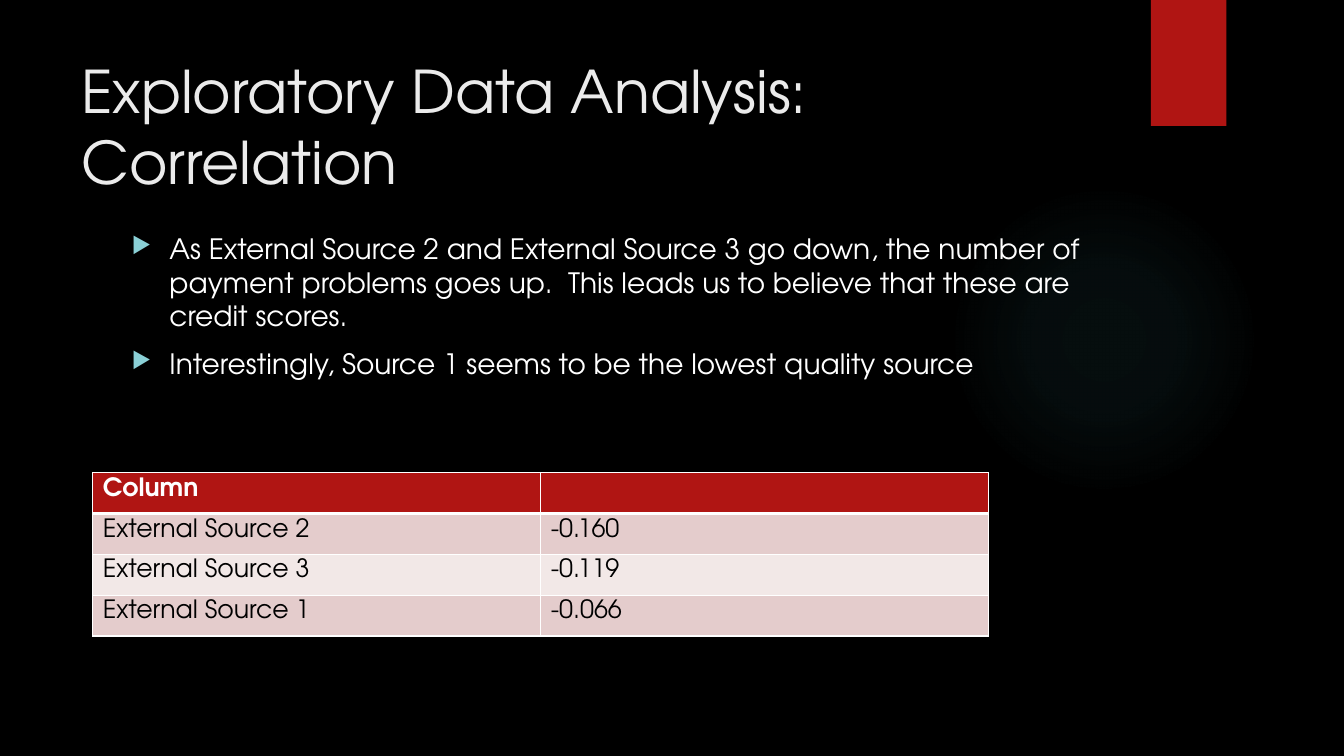
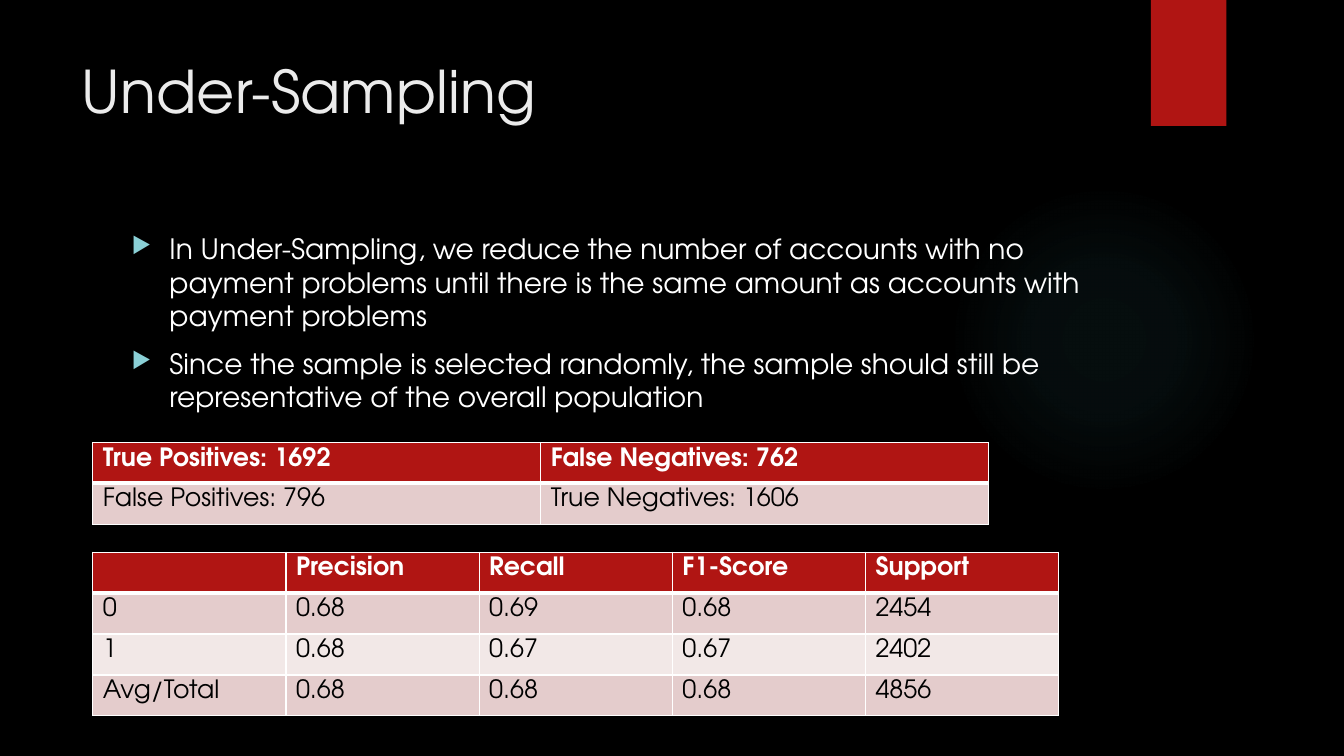
"""Build two dark slides with bulleted findings and result tables."""
from lxml import etree
from pptx import Presentation
from pptx.dml.color import RGBColor
from pptx.enum.shapes import MSO_SHAPE
from pptx.oxml import parse_xml
from pptx.oxml.ns import qn
from pptx.util import Pt

RECTANGLE = MSO_SHAPE.RECTANGLE
ELLIPSE = MSO_SHAPE.OVAL

BLACK = RGBColor(0x00, 0x00, 0x00)
WHITE = RGBColor(0xFF, 0xFF, 0xFF)
TITLE_GREY = RGBColor(0xEB, 0xEB, 0xEB)
RED = RGBColor(0xB0, 0x15, 0x13)
BAND_DARK = RGBColor(0xE4, 0xCC, 0xCC)
BAND_LIGHT = RGBColor(0xF2, 0xE8, 0xE7)
GLOW_TEAL = RGBColor(0x50, 0xB9, 0xC1)
BULLET_TEAL = RGBColor(0x8A, 0xD0, 0xD6)

FONT = "TeX Gyre Adventor"
TITLE = {"name": FONT, "size": Pt(42), "bold": False}
BODY = {"name": FONT, "size": Pt(20), "bold": False}
CELL = {"name": FONT, "size": Pt(18), "bold": False}
HEADER = {**CELL, "bold": True}
CELL_MARGINS = {"margin_left": Pt(7.2), "margin_right": Pt(7.2),
                "margin_top": Pt(3.6), "margin_bottom": Pt(3.6)}

TITLE_AREA = (51, 35.5, 741, 110)
BODY_AREA = (87, 161.75, 704, 330.5)
TAB_AREA = (822, 0, 54, 90)
GLOW_AREA = (677.5, 131.75, 221.75, 221.75)
GLOW_STOPS = [(0, 7), (36, 6), (69, 0)]
TABLE_LEFT = 66.25
ROW_HEIGHT = 29.2
BULLET_INDENT = 27
NAMESPACE = "http://schemas.openxmlformats.org/drawingml/2006/main"

SLIDES = [
    {
        "title": "Exploratory Data Analysis:\nCorrelation",
        "bullets": [
            "As External Source 2 and External Source 3 go down, the number of "
            "payment problems goes up.  This leads us to believe that these are "
            "credit scores.",
            "Interestingly, Source 1 seems to be the lowest quality source",
        ],
        "tables": [
            (337.5, 320, [
                ["Column", ""],
                ["External Source 2", "-0.160"],
                ["External Source 3", "-0.119"],
                ["External Source 1", "-0.066"],
            ]),
        ],
    },
    {
        "title": "Under-Sampling",
        "bullets": [
            "In Under-Sampling, we reduce the number of accounts with no payment "
            "problems until there is the same amount as accounts with payment "
            "problems",
            "Since the sample is selected randomly, the sample should still be "
            "representative of the overall population",
        ],
        "tables": [
            (316, 320, [
                ["True Positives: 1692", "False Negatives: 762"],
                ["False Positives: 796", "True Negatives: 1606"],
            ]),
            (394.5, 138, [
                ["", "Precision", "Recall", "F1-Score", "Support"],
                ["0", "0.68", "0.69", "0.68", "2454"],
                ["1", "0.68", "0.67", "0.67", "2402"],
                ["Avg/Total", "0.68", "0.68", "0.68", "4856"],
            ]),
        ],
    },
]


def points(area):
    """Convert a tuple of numbers to lengths in points."""
    return [Pt(value) for value in area]


def write(para, text, formats, color):
    """Fill a paragraph with text in one format."""
    para.text = text
    for span in para.runs:
        for name, value in formats.items():
            setattr(span.font, name, value)
        span.font.color.rgb = color


def add_block(page, kind, area, color):
    """Add a plain filled shape without outline or shadow."""
    block = page.shapes.add_shape(kind, *points(area))
    block.shadow.inherit = False
    block.fill.solid()
    block.fill.fore_color.rgb = color
    block.line.fill.background()
    return block


def add_glow(page):
    """Add the soft radial light behind the content."""
    glow = add_block(page, ELLIPSE, GLOW_AREA, GLOW_TEAL)
    stops = "".join(
        f'<a:gs pos="{position * 1000}"><a:srgbClr val="{GLOW_TEAL}">'
        f'<a:alpha val="{alpha * 1000}"/></a:srgbClr></a:gs>'
        for position, alpha in GLOW_STOPS)
    gradient = parse_xml(
        f'<a:gradFill xmlns:a="{NAMESPACE}"><a:gsLst>{stops}</a:gsLst>'
        '<a:path path="circle"><a:fillToRect l="50000" t="50000" r="50000" '
        'b="50000"/></a:path></a:gradFill>')
    properties = glow.element.spPr
    properties.replace(properties.find(qn("a:solidFill")), gradient)


def add_text_box(page, area):
    """Add a wrapping text box and return its text frame."""
    frame = page.shapes.add_textbox(*points(area)).text_frame
    frame.word_wrap = True
    return frame


def add_bullet(para):
    """Give a paragraph a hanging triangle bullet."""
    para.space_before = Pt(10)
    properties = para._p.get_or_add_pPr()
    properties.set("marL", str(Pt(BULLET_INDENT)))
    properties.set("indent", str(-Pt(BULLET_INDENT)))
    color = etree.SubElement(properties, qn("a:buClr"))
    etree.SubElement(color, qn("a:srgbClr"), val=str(BULLET_TEAL))
    etree.SubElement(properties, qn("a:buSzPct"), val="80000")
    etree.SubElement(properties, qn("a:buChar"), char="▶")


def add_bullets(page, texts):
    """Add the bulleted body text."""
    frame = add_text_box(page, BODY_AREA)
    for index, text in enumerate(texts):
        para = frame.add_paragraph() if index else frame.paragraphs[0]
        write(para, text, BODY, WHITE)
        add_bullet(para)


def set_borders(cell, widths):
    """Draw white borders of the given widths around a cell."""
    properties = cell._tc.get_or_add_tcPr()
    for index, (side, width) in enumerate(widths.items()):
        border = parse_xml(
            f'<a:{side} xmlns:a="{NAMESPACE}" w="{Pt(width)}"><a:solidFill>'
            f'<a:srgbClr val="{WHITE}"/></a:solidFill></a:{side}>')
        properties.insert(index, border)


def style_cell(cell, text, row):
    """Write and format one cell by its row number."""
    for name, value in CELL_MARGINS.items():
        setattr(cell, name, value)
    formats, color, fill = (
        (HEADER, WHITE, RED) if row == 0
        else (CELL, BLACK, BAND_DARK if row % 2 else BAND_LIGHT))
    write(cell.text_frame.paragraphs[0], text, formats, color)
    cell.fill.solid()
    cell.fill.fore_color.rgb = fill
    set_borders(cell, {"lnL": 1, "lnR": 1, "lnT": 3 if row == 1 else 1,
                       "lnB": 3 if row == 0 else 1})


def add_grid(page, top, column_width, rows):
    """Add a table with a red header and banded rows."""
    count = len(rows[0])
    area = (TABLE_LEFT, top, column_width * count, ROW_HEIGHT * len(rows))
    table = page.shapes.add_table(len(rows), count, *points(area)).table
    table.horz_banding = False
    for column in table.columns:
        column.width = Pt(column_width)
    for row, texts in enumerate(rows):
        table.rows[row].height = Pt(ROW_HEIGHT)
        for column, text in enumerate(texts):
            style_cell(table.cell(row, column), text, row)


def add_page(deck, content):
    """Add one slide with the shared decoration and its content."""
    page = deck.slides.add_slide(deck.slide_layouts[6])
    add_glow(page)
    add_block(page, RECTANGLE, TAB_AREA, RED)
    title = add_text_box(page, TITLE_AREA)
    write(title.paragraphs[0], content["title"], TITLE, TITLE_GREY)
    add_bullets(page, content["bullets"])
    for top, column_width, rows in content["tables"]:
        add_grid(page, top, column_width, rows)


def main():
    """Build and save the deck."""
    deck = Presentation()
    deck.slide_width, deck.slide_height = points((960, 540))
    background = deck.slide_master.background.fill
    background.solid()
    background.fore_color.rgb = BLACK
    for content in SLIDES:
        add_page(deck, content)
    deck.save("out.pptx")


if __name__ == "__main__":
    main()
